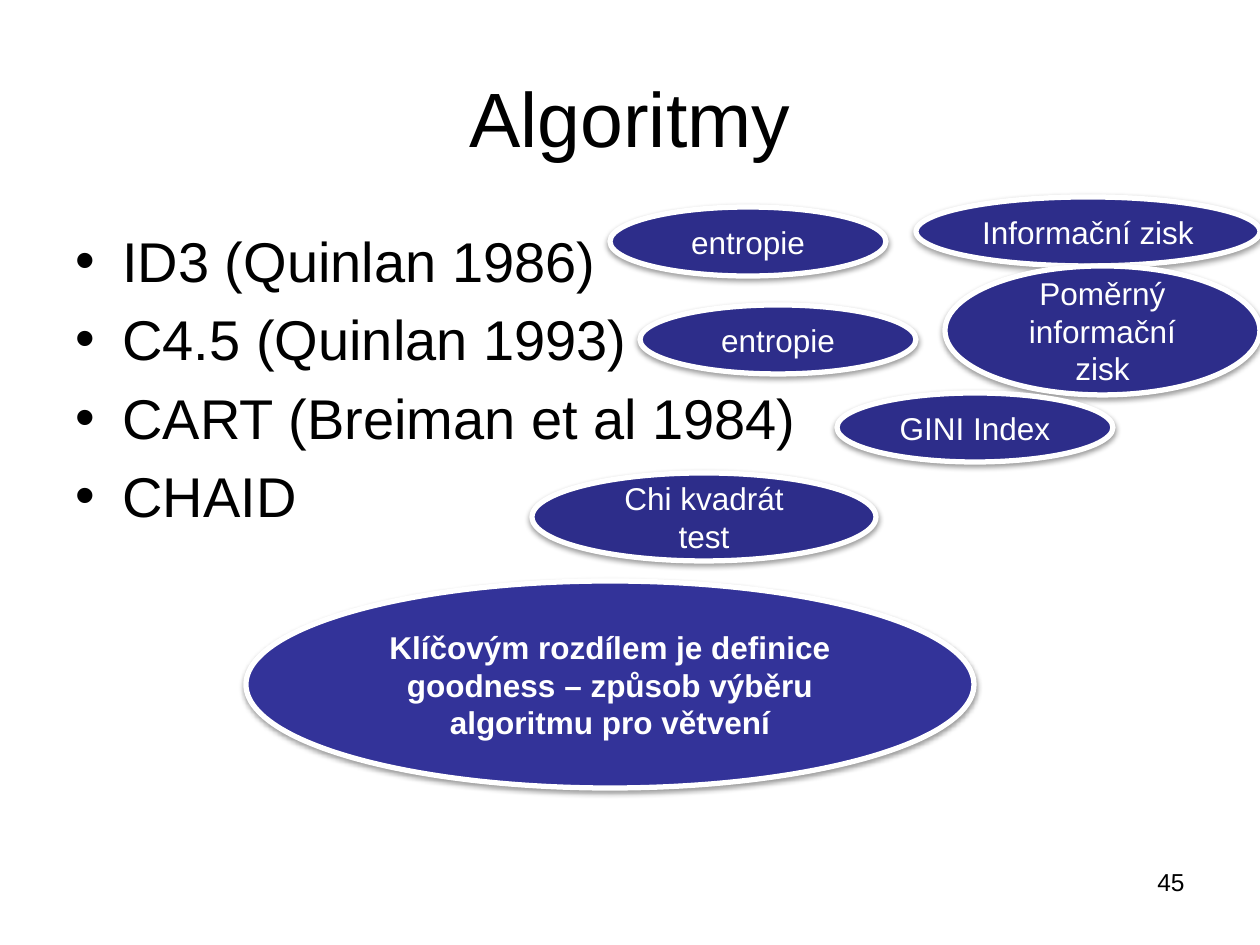
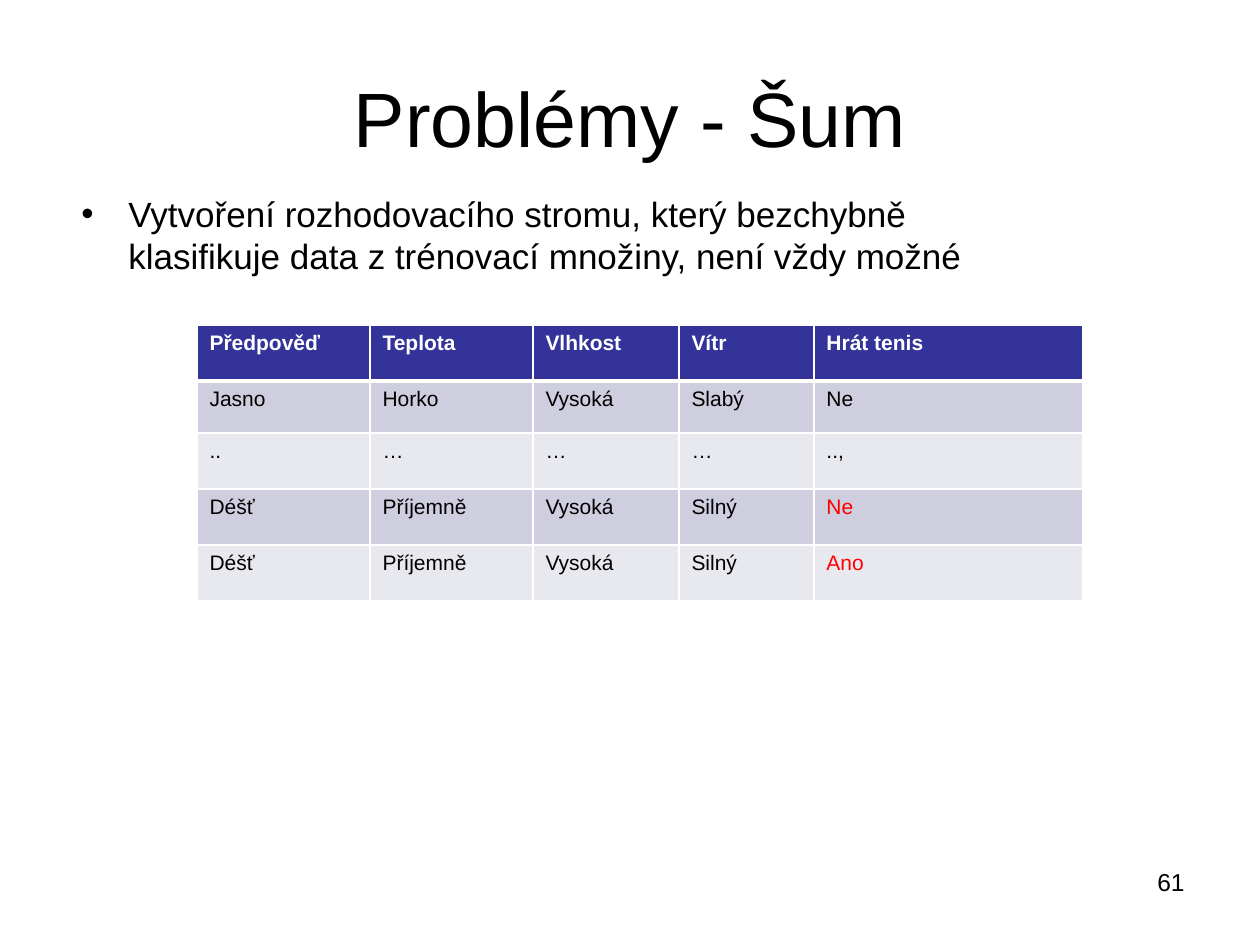
from lxml import etree
from pptx import Presentation
from pptx.dml.color import RGBColor
from pptx.enum.shapes import MSO_SHAPE
from pptx.enum.text import MSO_ANCHOR, PP_ALIGN
from pptx.oxml.ns import qn
from pptx.util import Emu, Pt

COLORS = {
    "text": "000000",
    "white": "FFFFFF",
    "header": "333399",
    "bubble": "2D2D8A",
    "odd_row": "CECEDE",
    "even_row": "E8E8EF",
    "conflict": "FF0000",
}
FONT = "Arial"
TITLE_BOX = (63, 38, 1134, 158)
NUMBER_BOX = (903, 861, 294, 66)
BULLET_INDENT = 47

ALGORITHMS = [
    "ID3 (Quinlan 1986)",
    "C4.5 (Quinlan 1993)",
    "CART (Breiman et al 1984)",
    "CHAID",
]
KEY_DIFFERENCE = "Klíčovým rozdílem je definice goodness – způsob výběru algoritmu pro větvení"
CRITERIA = [
    ("entropie", (610, 207, 276, 69)),
    ("Informační zisk", (916, 197, 344, 69)),
    ("Poměrný informační zisk", (945, 266, 315, 129)),
    ("Chi kvadrát test", (532, 473, 344, 88)),
    ("GINI Index", (837, 393, 276, 69)),
    ("entropie", (640, 305, 276, 69)),
]
NOISE = "Vytvoření rozhodovacího stromu, který bezchybně klasifikuje data z trénovací množiny, není vždy možné"
WEATHER = [
    ["Předpověď", "Teplota", "Vlhkost", "Vítr", "Hrát tenis"],
    ["Jasno", "Horko", "Vysoká", "Slabý", "Ne"],
    ["..", "…", "…", "…", "..,"],
    ["Déšť", "Příjemně", "Vysoká", "Silný", "Ne"],
    ["Déšť", "Příjemně", "Vysoká", "Silný", "Ano"],
]
CONFLICT_ROWS = (3, 4)
COLUMN_WIDTHS = [173, 163, 146, 135, 269]
ROW_HEIGHTS = [56, 52, 56, 56, 56]


def px(length):
    """Turn px at 126 to the inch into EMU."""
    return Emu(round(length * 914400 / 126))


def rgb(name):
    """Look up a named colour."""
    return RGBColor.from_string(COLORS[name])


def add_run(paragraph, text, size, color="text", bold=False):
    """Append one formatted run."""
    run = paragraph.add_run()
    run.text = text
    run.font.name = FONT
    run.font.size = Pt(size)
    run.font.bold = bold
    run.font.color.rgb = rgb(color)


def add_title(slide, text):
    """Place and format the title placeholder."""
    title = slide.shapes.title
    title.left, title.top, title.width, title.height = map(px, TITLE_BOX)
    title.text_frame.vertical_anchor = MSO_ANCHOR.MIDDLE
    paragraph = title.text_frame.paragraphs[0]
    paragraph.alignment = PP_ALIGN.CENTER
    add_run(paragraph, text, 44)


def add_text_frame(slide, box):
    """Add a wrapping text box and return its frame."""
    frame = slide.shapes.add_textbox(*map(px, box)).text_frame
    frame.word_wrap = True
    return frame


def add_page_number(slide, number):
    """Add the right-aligned page number."""
    paragraph = add_text_frame(slide, NUMBER_BOX).paragraphs[0]
    paragraph.alignment = PP_ALIGN.RIGHT
    add_run(paragraph, str(number), 14)


def add_bullets(slide, box, items, size):
    """Fill a box with a bulleted list."""
    frame = add_text_frame(slide, box)
    for index, item in enumerate(items):
        paragraph = frame.add_paragraph() if index else frame.paragraphs[0]
        properties = paragraph._p.get_or_add_pPr()
        properties.set("marL", str(px(BULLET_INDENT)))
        properties.set("indent", str(-px(BULLET_INDENT)))
        spacing = etree.SubElement(properties, qn("a:spcBef"))
        etree.SubElement(spacing, qn("a:spcPct"), val="20000")
        etree.SubElement(properties, qn("a:buFont"), typeface=FONT)
        etree.SubElement(properties, qn("a:buChar"), char="•")
        add_run(paragraph, item, size)


def add_bubble(slide, box, text, fill="bubble", bold=False):
    """Add a shadowed ellipse with centred text."""
    bubble = slide.shapes.add_shape(MSO_SHAPE.OVAL, *map(px, box))
    bubble.fill.solid()
    bubble.fill.fore_color.rgb = rgb(fill)
    bubble.line.color.rgb = rgb("white")
    bubble.line.width = Pt(3)
    bubble.shadow.inherit = False
    effects = bubble._element.spPr.find(qn("a:effectLst"))
    shadow = etree.SubElement(effects, qn("a:outerShdw"), blurRad="40000", dist="20000",
                              dir="5400000", rotWithShape="0")
    shade = etree.SubElement(shadow, qn("a:srgbClr"), val=COLORS["text"])
    etree.SubElement(shade, qn("a:alpha"), val="38000")
    frame = bubble.text_frame
    frame.word_wrap = True
    frame.vertical_anchor = MSO_ANCHOR.MIDDLE
    frame.paragraphs[0].alignment = PP_ALIGN.CENTER
    add_run(frame.paragraphs[0], text, 18, "white", bold)


def set_borders(cell, top, bottom):
    """Draw white cell borders with the given top and bottom widths."""
    properties = cell._tc.get_or_add_tcPr()
    for side, width in (("L", 1), ("R", 1), ("T", top), ("B", bottom)):
        border = etree.SubElement(properties, qn(f"a:ln{side}"), w=str(Pt(width)))
        fill = etree.SubElement(border, qn("a:solidFill"))
        etree.SubElement(fill, qn("a:srgbClr"), val=COLORS["white"])


def add_weather_table(slide, left, top):
    """Add the training data with its contradictory answers in red."""
    size = (sum(COLUMN_WIDTHS), sum(ROW_HEIGHTS))
    table = slide.shapes.add_table(len(WEATHER), len(WEATHER[0]),
                                   *map(px, (left, top, *size))).table
    for column, width in zip(table.columns, COLUMN_WIDTHS):
        column.width = px(width)
    for r, (record, height) in enumerate(zip(WEATHER, ROW_HEIGHTS)):
        table.rows[r].height = px(height)
        header = r == 0
        fill = "header" if header else "odd_row" if r % 2 else "even_row"
        for c, value in enumerate(record):
            cell = table.cell(r, c)
            set_borders(cell, 3 if r == 1 else 1, 3 if header else 1)
            cell.fill.solid()
            cell.fill.fore_color.rgb = rgb(fill)
            conflict = r in CONFLICT_ROWS and c == len(record) - 1
            color = "white" if header else "conflict" if conflict else "text"
            add_run(cell.text_frame.paragraphs[0], value, 12, color, header)


def add_slide(deck, title, number):
    """Start a titled and numbered slide."""
    slide = deck.slides.add_slide(deck.slide_layouts[5])
    add_title(slide, title)
    add_page_number(slide, number)
    return slide


def build_algorithms(deck):
    """Build the slide on algorithms and their split criteria."""
    slide = add_slide(deck, "Algoritmy", 45)
    add_bullets(slide, (63, 220, 1134, 624), ALGORITHMS, 32)
    add_bubble(slide, (246, 581, 728, 207), KEY_DIFFERENCE, "header", True)
    for criterion, box in CRITERIA:
        add_bubble(slide, box, criterion)


def build_noise(deck):
    """Build the slide on noise in the training data."""
    slide = add_slide(deck, "Problémy - Šum", 61)
    add_bullets(slide, (69, 186, 974, 624), [NOISE], 20)
    add_weather_table(slide, 197, 325)


def main():
    """Build and save the deck."""
    deck = Presentation()
    deck.slide_width, deck.slide_height = px(1260), px(945)
    build_algorithms(deck)
    build_noise(deck)
    deck.save("out.pptx")


if __name__ == "__main__":
    main()
